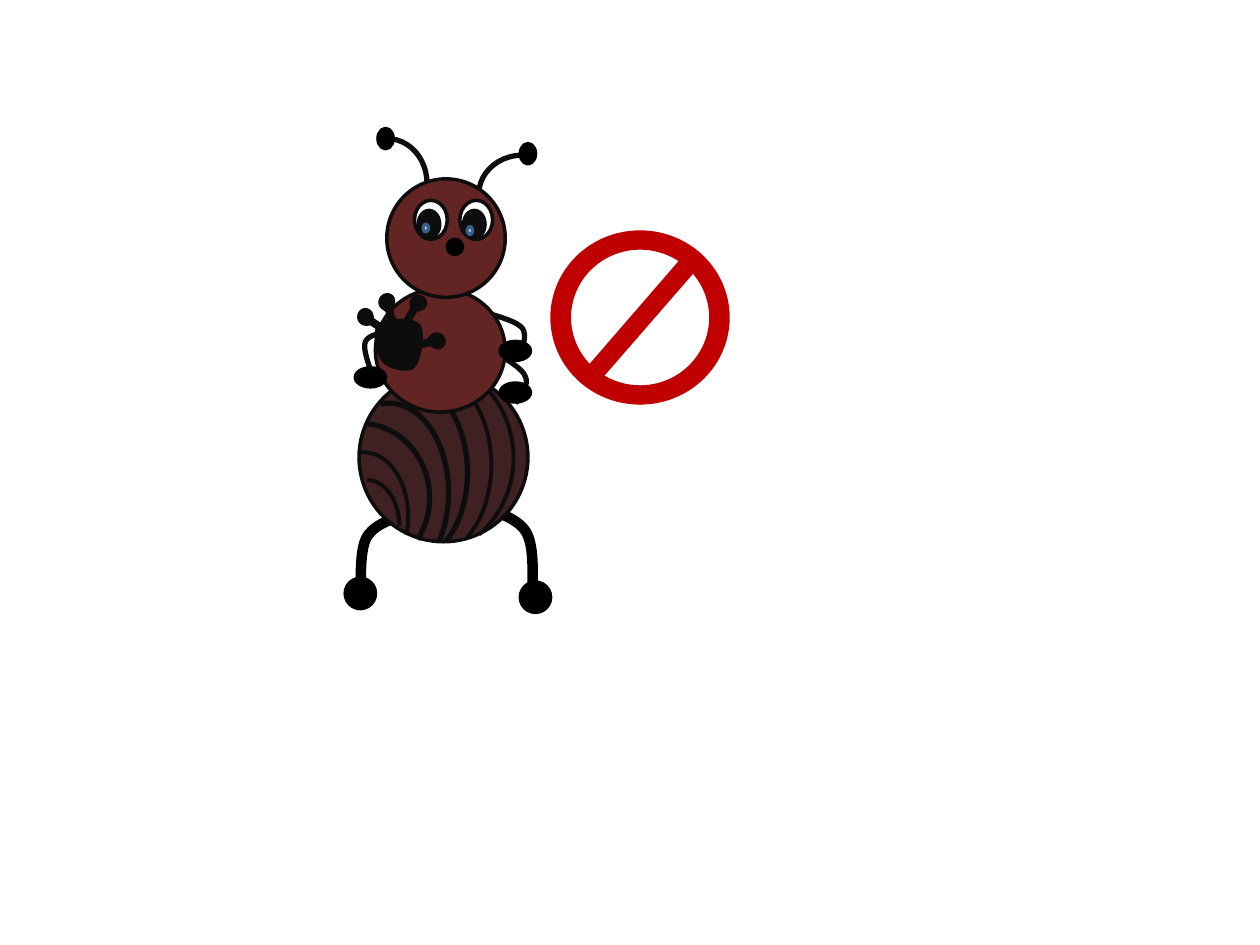
from math import cos, radians, sin

from lxml import etree
from pptx import Presentation
from pptx.dml.color import RGBColor
from pptx.enum.shapes import MSO_CONNECTOR, MSO_SHAPE
from pptx.oxml.ns import qn
from pptx.util import Inches, Pt

OVAL, ARC, TEARDROP = MSO_SHAPE.OVAL, MSO_SHAPE.ARC, MSO_SHAPE.TEAR
STRAIGHT = MSO_CONNECTOR.STRAIGHT
COLORS = {"ink": "0D0D0D", "black": "000000", "white": "FFFFFF", "body": "632523",
          "abdomen": "3F2121", "iris": "3A5F8C", "ban": "C00000"}
CELL = Inches(0.01)


def paint(part, line, width, fill=None):
    part.line.color.rgb = RGBColor.from_string(COLORS[line])
    part.line.width = Pt(width)
    if hasattr(part, "fill"):
        part.shadow.inherit = False
        if fill:
            part.fill.solid()
            part.fill.fore_color.rgb = RGBColor.from_string(COLORS[fill])
        else:
            part.fill.background()
    else:
        etree.SubElement(part._element.spPr, qn("a:effectLst"))


def add_curve(group, box, turn, points, closed=False):
    left, top, width, height = (CELL * length for length in box)
    frame = group.shapes.build_freeform(left, top)
    frame.add_line_segments([(left + width, top), (left + width, top + height)], close=False)
    curve = frame.convert_to_shape()
    curve.rotation = turn
    outline = next(curve._element.iter(qn("a:path")))
    for segment in list(outline):
        outline.remove(segment)
    cosine, sine = cos(radians(turn)), sin(radians(turn))
    for index, (x, y) in enumerate(points):
        if index == 0:
            segment = etree.SubElement(outline, qn("a:moveTo"))
        elif index % 3 == 1:
            segment = etree.SubElement(outline, qn("a:cubicBezTo"))
        across = CELL * x - left - width / 2
        down = CELL * y - top - height / 2
        etree.SubElement(segment, qn("a:pt"), {
            "x": str(round(width / 2 + across * cosine + down * sine)),
            "y": str(round(height / 2 - across * sine + down * cosine))})
    if closed:
        etree.SubElement(outline, qn("a:close"))
    return curve


prs = Presentation()
prs.slide_width, prs.slide_height = 1000 * CELL, 750 * CELL
slide = prs.slides.add_slide(prs.slide_layouts[6])
ant = slide.shapes.add_group_shape()
sign = slide.shapes.add_group_shape()

limbs = [
    ((385, 288, 42, 18), 240.1, "ink", 3,
     [(409, 320), (414, 313), (420, 305), (417, 299), (415, 292), (399, 284), (396, 281)]),
    ((383, 253, 42, 18), 226.3, "ink", 3,
     [(412, 284), (415, 275), (418, 267), (415, 261), (411, 255), (394, 251), (389, 249)]),
    ((278, 269, 42, 23), 103.2, "ink", 3,
     [(315, 263), (304, 264), (293, 265), (290, 271), (287, 277), (295, 295), (296, 300)]),
    ((285, 406, 44, 64), 0, "black", 6,
     [(329, 406), (314, 411), (299, 415), (292, 425), (285, 435), (287, 460), (286, 467)]),
    ((369, 400, 55, 71), 0, "black", 6,
     [(369, 400), (388, 404), (407, 409), (416, 420), (425, 431), (422, 459), (423, 467)]),
]
for box, turn, color, weight, points in limbs:
    paint(add_curve(ant, box, turn, points), color, weight)

abdomen = ant.shapes.add_shape(OVAL, 285 * CELL, 296 * CELL, 134 * CELL, 134 * CELL)
paint(abdomen, "ink", 2, "abdomen")

stripes_and_antennae = [
    (262, 320, 94, 142, 0, 158.55, 26.74, 3),
    (277, 304, 94, 142, 0, 158.55, 36.8, 3),
    (296, 298, 94, 142, 0, 158.55, 38.63, 2.25),
    (254, 359, 70, 102, 0, 158.88, 13.82, 2.25),
    (266, 381, 51, 73, 0, 162, 0, 2.25),
    (231, 336, 110, 118, 0, 165.52, 21.66, 3),
    (243, 281, 165, 163, 42.1, 163.36, 3.73, 2.25),
    (276, 110, 63, 71, 0, 162, 0, 3),
    (384, 119, 63, 71, 273.2, 162, 0, 3),
]
for left, top, width, height, turn, begin, end, weight in stripes_and_antennae:
    arc = ant.shapes.add_shape(ARC, left * CELL, top * CELL, width * CELL, height * CELL)
    arc.rotation = turn
    arc.adjustments[0], arc.adjustments[1] = begin, end
    paint(arc, "ink", weight)

thorax_and_head = [(298, 229, 103, 98, "body", "ink"), (307, 142, 94, 94, "body", "ink")]
eyes = [
    oval
    for left, glint_left, glint_top in ((365, 371, 180), (329, 336, 178))
    for oval in ((left, 159, 26, 31, "white", "ink"),
                 (left + 3, 167, 17, 22, "ink", "ink"),
                 (glint_left, glint_top, 4, 6, "white", "iris"))
]
hands = [(397, 271, 24, 15), (282, 292, 24, 15), (397, 304, 24, 15)]
feet = [(413, 462, 24, 24), (274, 459, 24, 24)]
mouth = [(355, 190, 12, 12)]
antenna_tips = [(300, 102, 12, 16), (413, 114, 12, 16)]
black_ovals = [(*box, "black", "black") for box in hands + feet + mouth + antenna_tips]
for left, top, width, height, fill, line in thorax_and_head + eyes + black_ovals:
    oval = ant.shapes.add_shape(OVAL, left * CELL, top * CELL, width * CELL, height * CELL)
    paint(oval, line, 2, fill)

fingers = [
    (286, 248, 87.3, (289, 251, 305, 262)),
    (303, 236, 124.3, (306, 238, 312, 256)),
    (328, 237, 171.6, (333, 238, 323, 255)),
    (343, 267, 220.1, (349, 270, 330, 274)),
]
for left, top, turn, ends in fingers:
    fingertip = ant.shapes.add_shape(TEARDROP, left * CELL, top * CELL, 8 * CELL, 7 * CELL)
    fingertip.rotation = turn
    paint(fingertip, "ink", 4.5, "ink")
    finger = ant.shapes.add_connector(STRAIGHT, *(CELL * end for end in ends))
    paint(finger, "ink", 4.5)

palm = add_curve(ant, (299, 254, 35, 39), 0, [
    (301, 258), (296, 263), (300, 281), (304, 286), (309, 292), (324, 295), (328, 291),
    (333, 286), (337, 264), (332, 258), (327, 253), (305, 253), (301, 258)], closed=True)
paint(palm, "ink", 2, "ink")

for left, top, width, height in ((441, 187, 134, 130), (445, 191, 126, 124), (449, 194, 118, 116)):
    ring = sign.shapes.add_shape(OVAL, left * CELL, top * CELL, width * CELL, height * CELL)
    paint(ring, "ban", 6, "white")
for ends in ((469, 294, 546, 205), (470, 303, 550, 211)):
    slash = sign.shapes.add_connector(STRAIGHT, *(CELL * end for end in ends))
    paint(slash, "ban", 6)

prs.save("out.pptx")
